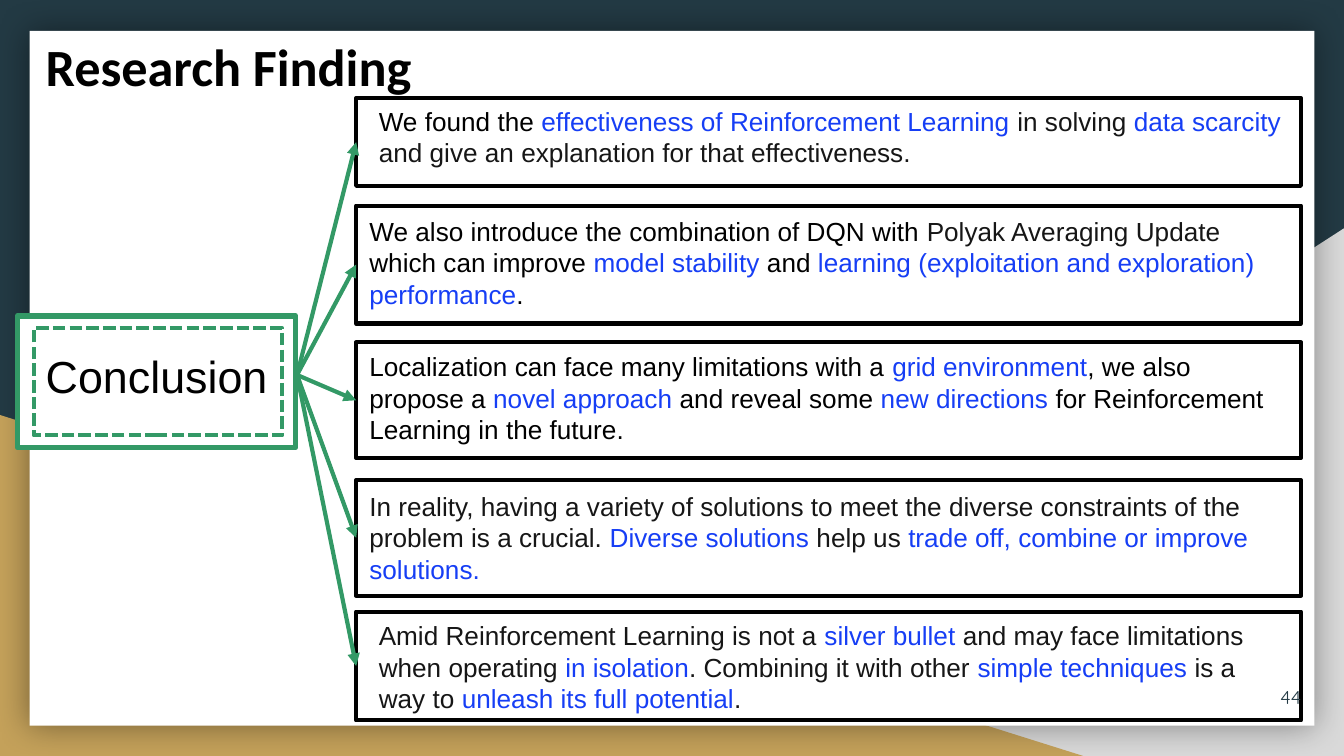
"""Build the Research Finding slide: one conclusion leading to five findings."""
from lxml.etree import SubElement
from pptx import Presentation
from pptx.dml.color import RGBColor
from pptx.enum.dml import MSO_LINE
from pptx.enum.shapes import MSO_CONNECTOR, MSO_SHAPE
from pptx.enum.text import MSO_ANCHOR, MSO_AUTO_SIZE, PP_ALIGN
from pptx.oxml.ns import qn
from pptx.util import Inches, Pt

NAVY = RGBColor(0x23, 0x3A, 0x44)
GREY = RGBColor(0xD9, 0xD9, 0xD9)
GOLD = RGBColor(0xC4, 0xA1, 0x5A)
WHITE = RGBColor(0xFF, 0xFF, 0xFF)
BLACK = RGBColor(0x00, 0x00, 0x00)
INK = RGBColor(0x16, 0x16, 0x16)
BLUE = RGBColor(0x16, 0x3E, 0xF5)
GREEN = RGBColor(0x33, 0x99, 0x66)

WIDE, HIGH = Inches(10), Inches(5.625)
LEFT, SPAN = 26.5, 70.3
HUB = (22.1, 49.6)

# PLACEHOLDER
FINDINGS = [
    {"top": 13, "high": 11.6, "shift": (0.7, 0), "runs": [
        ("We found the ", BLACK),
        ("effectiveness of Reinforcement Learning ", BLUE),
        ("in solving ", INK),
        ("data scarcity ", BLUE),
        ("and give an explanation for that effectiveness.", INK)]},
    {"top": 27.2, "high": 15.6, "shift": (0, 0.4), "runs": [
        ("We also introduce the combination of DQN with ", BLACK),
        ("Polyak Averaging Update ", INK),
        ("which can improve ", BLACK),
        ("model stability", BLUE),
        (" and ", BLACK),
        ("learning (exploitation and exploration) performance", BLUE),
        (".", BLACK)]},
    {"top": 45.3, "high": 15.3, "shift": (0, 0.2), "runs": [
        ("Localization can face many limitations with a ", BLACK),
        ("grid environment", BLUE),
        (", we also propose a ", BLACK),
        ("novel approach", BLUE),
        (" and reveal some ", BLACK),
        ("new directions", BLUE),
        (" for Reinforcement Learning in the future.", BLACK)]},
    {"top": 63.5, "high": 15.3, "shift": (0, 0.5), "runs": [
        ("In reality, having a variety of solutions to meet the diverse "
         "constraints of the problem is a crucial. ", INK),
        ("Diverse solutions", BLUE),
        (" help us ", INK),
        ("trade off, combine or improve solutions.", BLUE)]},
    {"top": 80.9, "high": 14.4, "shift": (0.7, 0.2), "runs": [
        ("Amid Reinforcement Learning is not a ", INK),
        ("silver bullet", BLUE),
        (" and may face limitations when operating ", INK),
        ("in isolation", BLUE),
        (". Combining it with other ", INK),
        ("simple techniques", BLUE),
        (" is a way to ", INK),
        ("unleash its full potential", BLUE),
        (".", INK)]},
]


def place(x, y, *size):
    """Turn percentages of the slide into lengths."""
    spots = [int(WIDE * x / 100), int(HIGH * y / 100)]
    if size:
        spots += [int(WIDE * size[0] / 100), int(HIGH * size[1] / 100)]
    return spots


def draw(kind, area, fill, line=None, width=0):
    """Add a filled shape, with an outline if a line colour is given."""
    shape = slide.shapes.add_shape(kind, *place(*area))
    shape.shadow.inherit = False
    shape.fill.solid()
    shape.fill.fore_color.rgb = fill
    if line is None:
        shape.line.fill.background()
    else:
        shape.line.color.rgb = line
        shape.line.width = Pt(width)
    return shape


def write(box, runs, face, size, align=PP_ALIGN.LEFT, pad=0.05, bold=False):
    """Fill a text box with coloured runs."""
    frame = box.text_frame
    frame.word_wrap = True
    frame.auto_size = MSO_AUTO_SIZE.NONE
    frame.vertical_anchor = MSO_ANCHOR.TOP
    frame.margin_left = frame.margin_right = Inches(0.1)
    frame.margin_top = frame.margin_bottom = Inches(pad)
    para = frame.paragraphs[0]
    para.alignment = align
    for text, tint in runs:
        run = para.add_run()
        run.text = text
        run.font.name = face
        run.font.size = Pt(size)
        run.font.bold = bold
        run.font.color.rgb = tint
    return frame


def label(area, *style, **more):
    """Add a text box and write in it."""
    return write(slide.shapes.add_textbox(*place(*area)), *style, **more)


def link(start, end):
    """Add a green arrow."""
    arrow = slide.shapes.add_connector(
        MSO_CONNECTOR.STRAIGHT, *place(*start), *place(*end))
    arrow.line.color.rgb = GREEN
    arrow.line.width = Pt(2.25)
    SubElement(arrow.line._get_or_add_ln(), qn("a:tailEnd"), type="triangle")
    SubElement(arrow.element.spPr, qn("a:effectLst"))


deck = Presentation()
deck.slide_width, deck.slide_height = WIDE, HIGH
slide = deck.slides.add_slide(deck.slide_layouts[5])
slide.background.fill.solid()
slide.background.fill.fore_color.rgb = NAVY

wedge = draw(MSO_SHAPE.RIGHT_TRIANGLE, (39.2, 30.2, 60.8, 69.8), GREY)
wedge.element.spPr.find(qn("a:xfrm")).set("flipH", "1")
draw(MSO_SHAPE.RIGHT_TRIANGLE, (0, 54.9, 80.6, 45.1), GOLD)
panel = draw(MSO_SHAPE.RECTANGLE, (2.2, 4.1, 95.6, 91.9), WHITE)
glow = SubElement(panel.element.spPr.find(qn("a:effectLst")),
                  qn("a:outerShdw"), blurRad=str(Pt(18)), dist="0", dir="0",
                  algn="ctr", rotWithShape="0")
shade = SubElement(glow, qn("a:srgbClr"), val=str(BLACK))
SubElement(shade, qn("a:alpha"), val="40000")

for item in reversed(FINDINGS):
    draw(MSO_SHAPE.RECTANGLE, (LEFT, item["top"], SPAN, item["high"]),
         WHITE, BLACK, 2.25)

title = slide.shapes.title
title.left, title.top, title.width, title.height = place(1, 2.7, 41.5, 11.9)
head = write(title, [("Research Finding", BLACK)], "Calibri", 28,
             pad=0.1, bold=True)
head.paragraphs[0]._p.get_or_add_pPr().set("marL", str(Inches(0.14)))
panel.element.getparent().append(title.element)

draw(MSO_SHAPE.RECTANGLE, (1.3, 41.8, 20.7, 17.4), WHITE, GREEN, 3)
inner = draw(MSO_SHAPE.RECTANGLE, (2.5, 43.4, 18.5, 14.2), WHITE, GREEN, 2.25)
inner.line.dash_style = MSO_LINE.SQUARE_DOT
label((1.3, 45.2, 20.7, 8.9), [("Conclusion", BLACK)], "Arial", 24,
      PP_ALIGN.CENTER)
number = label((91.8, 88.4, 6, 7.7), [("44", NAVY)], "Quicksand", 10,
               PP_ALIGN.RIGHT, pad=0.1)
number.vertical_anchor = MSO_ANCHOR.MIDDLE

for item in FINDINGS:
    right, down = item["shift"]
    label((LEFT + right, item["top"] + down, 69.7, 14.4), item["runs"],
          "Arial", 14)
for item in FINDINGS:
    link(HUB, (LEFT, item["top"] + item["high"] / 2))

deck.save("out.pptx")
